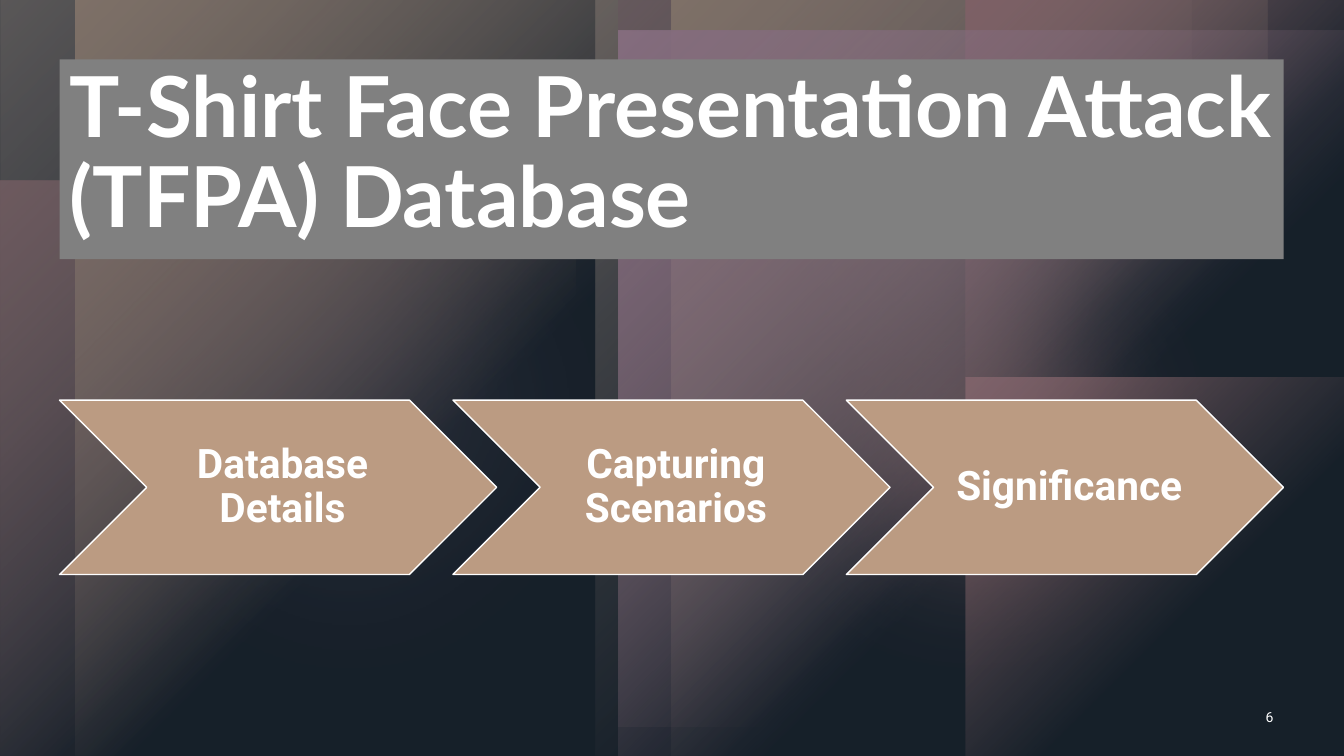
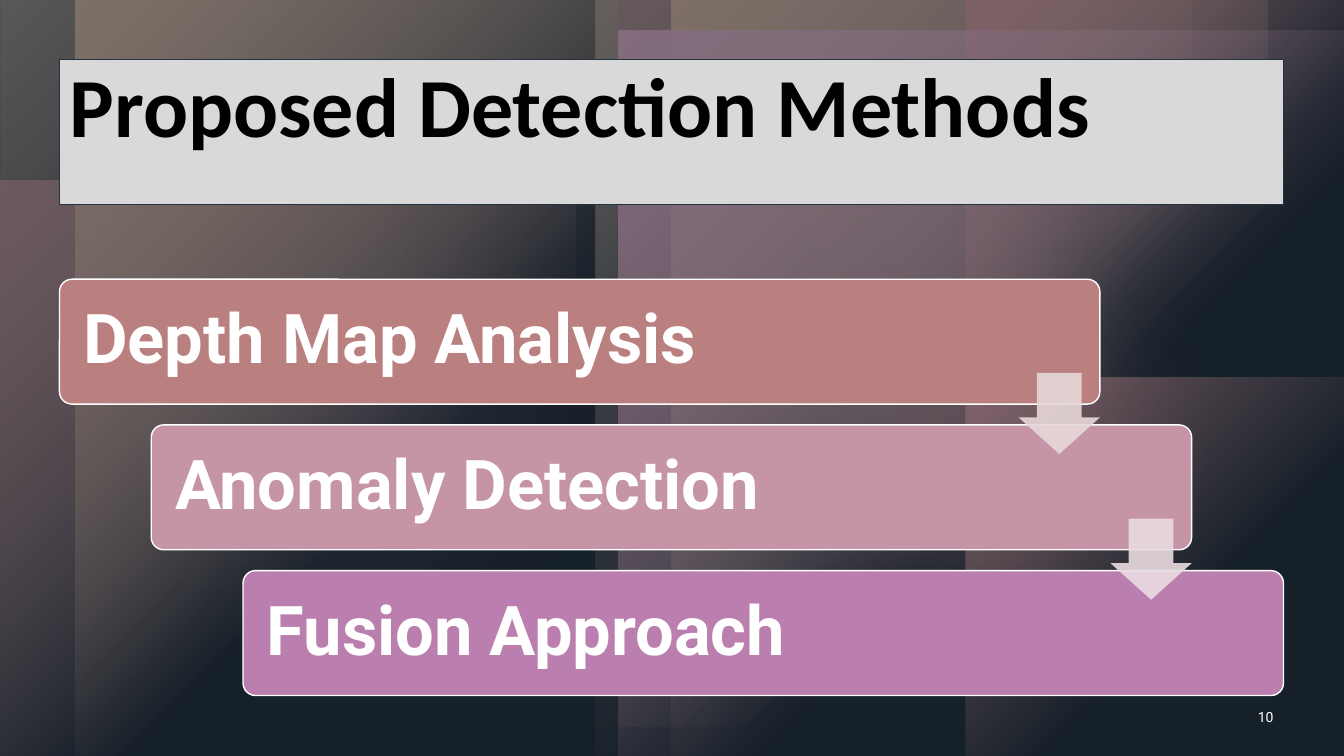
import dataclasses

import lxml.etree
import pptx
import pptx.dml.color
import pptx.enum.shapes
import pptx.enum.text
import pptx.oxml.ns
import pptx.util

SHAPE = pptx.enum.shapes.MSO_SHAPE
ALIGN = pptx.enum.text.PP_ALIGN
ANCHOR = pptx.enum.text.MSO_ANCHOR


@dataclasses.dataclass(frozen=True)
class Theme:
    """Colours, fonts and type sizes shared by the slides."""
    black: str = "000000"
    white: str = "FFFFFF"
    navy: str = "243241"
    grey: str = "808080"
    silver: str = "D9D9D9"
    tan: str = "BB9B82"
    clay: str = "BA807F"
    rose: str = "C594A7"
    orchid: str = "BA7FAE"
    arrows: tuple = ("E7D8D8", "EADCE1")
    body_font: str = "Roboto"
    title_size: int = 60
    topic_size: int = 29
    method_size: int = 49
    number_size: int = 10


@dataclasses.dataclass(frozen=True)
class Box:
    """A region on a grid of one-inch columns and rows."""
    left: float
    top: float
    width: float
    height: float

    def emu(self):
        """Return the four lengths for python-pptx."""
        return [pptx.util.Inches(v) for v in dataclasses.astuple(self)]


THEME = Theme()
SLIDE = Box(0, 0, 13.33, 7.5)
NUMBER = Box(11.9, 6.91, 0.83, 0.4)
MARGIN = 0.59
CONTENT_WIDTH = 12.14
SOFT_EDGE = 100


def rgb(colour):
    """Turn a hex string into a colour."""
    return pptx.dml.color.RGBColor.from_string(colour)


def add_xml(parent, tag, **attributes):
    """Append a drawing element with the given attributes."""
    values = {name: str(value) for name, value in attributes.items()}
    return lxml.etree.SubElement(parent, pptx.oxml.ns.qn(tag), values)


def paint(fill_owner, colour, opacity=100):
    """Give a shape or line a solid, possibly translucent, colour."""
    fill_owner.fill.solid()
    fill_owner.fill.fore_color.rgb = rgb(colour)
    if opacity < 100:
        owner = fill_owner.fill.fore_color
        element = getattr(fill_owner, "element", None)
        target = element.spPr if element is not None else None
        if target is not None:
            swatch = target.find(pptx.oxml.ns.qn("a:solidFill"))[0]
            add_xml(swatch, "a:alpha", val=opacity * 1000)
        else:
            owner.rgb = rgb(colour)


def fade(shape, colour, opacity=100):
    """Fill a shape with a radial fade out of its top left corner."""
    gradient = add_xml(shape.element.spPr, "a:gradFill", rotWithShape=1)
    stops = add_xml(gradient, "a:gsLst")
    for position, alpha in ((0, opacity), (60, 0)):
        stop = add_xml(stops, "a:gs", pos=position * 1000)
        swatch = add_xml(stop, "a:srgbClr", val=colour)
        add_xml(swatch, "a:alpha", val=alpha * 1000)
    focus = add_xml(gradient, "a:path", path="circle")
    add_xml(focus, "a:fillToRect", r=100000, b=100000)
    add_xml(gradient, "a:tileRect", l=-100000, t=-100000)


def add_block(shapes, kind, box, colour=None, opacity=100, outline=None, weight=1):
    """Add a flat shape without shadow."""
    block = shapes.add_shape(kind, *box.emu())
    if colour:
        paint(block, colour, opacity)
    if outline:
        block.line.color.rgb = rgb(outline)
        block.line.width = pptx.util.Pt(weight)
    else:
        block.line.fill.background()
    block.shadow.inherit = False
    return block


def add_panel(shapes, box, colour, opacity=100, rotation=0, flip=""):
    """Add a fading backdrop panel."""
    panel = shapes.add_shape(SHAPE.RECTANGLE, *box.emu())
    fade(panel, colour, opacity)
    panel.line.fill.background()
    panel.shadow.inherit = False
    panel.rotation = rotation
    frame = panel.element.spPr.find(pptx.oxml.ns.qn("a:xfrm"))
    for axis in flip:
        frame.set("flip" + axis, "1")


def add_glow(shapes, box, colour, opacity):
    """Add a translucent ellipse with a soft edge."""
    glow = add_block(shapes, SHAPE.OVAL, box, colour, opacity)
    effects = glow.element.spPr.find(pptx.oxml.ns.qn("a:effectLst"))
    add_xml(effects, "a:softEdge", rad=pptx.util.Pt(SOFT_EDGE))


def add_backdrop(slide, master):
    """Build the layered backdrop and hand it to the master."""
    backdrop = slide.shapes.add_group_shape()
    layers = backdrop.shapes
    tall, wide, corner = 7.5, 5.91, 3.75
    add_panel(layers, Box(0, 1.8, 5.71, 5.71), THEME.clay, 60, flip="V")
    add_glow(layers, Box(6.29, 0.43, 4.72, 4.72), THEME.rose, 60)
    add_glow(layers, Box(0, 0.56, 6.94, 6.94), THEME.rose, 20)
    add_panel(layers, Box(0, 0, wide, tall), THEME.tan, rotation=180, flip="V")
    add_panel(layers, Box(wide, 0, wide, tall), THEME.tan, rotation=180, flip="HV")
    add_panel(layers, Box(6.13, 0, 7.21, 7.21), THEME.clay, rotation=180, flip="V")
    add_block(layers, SHAPE.RECTANGLE, SLIDE, THEME.navy, 40)
    add_panel(layers, Box(0, 1.79, 5.71, 5.71), THEME.clay, 60, rotation=270)
    add_glow(layers, Box(6.98, 0, 4.72, 4.72), THEME.rose, 96)
    add_glow(layers, Box(6.69, 1.35, 6.02, 6.02), THEME.clay, 60)
    add_panel(layers, Box(6.66, 0, wide, tall), THEME.tan)
    add_panel(layers, Box(0.75, 0, wide, tall), THEME.tan, flip="H")
    add_panel(layers, Box(9.58, corner, corner, corner), THEME.clay, rotation=90)
    add_panel(layers, Box(9.58, 0, corner, corner), THEME.clay, rotation=90, flip="H")
    add_panel(layers, Box(6.13, 0.3, 7.21, 7.21), THEME.rose, rotation=180)
    add_block(layers, SHAPE.RECTANGLE, SLIDE, THEME.navy, 40)
    for order, label in enumerate(backdrop.element.iter(pptx.oxml.ns.qn("p:cNvPr"))):
        label.set("id", str(100 + order))
    master.shapes.element.insert(2, backdrop.element)
    master.background.fill.solid()
    master.background.fill.fore_color.rgb = rgb(THEME.black)


def write(shape, text, size, colour=THEME.white, font=THEME.body_font, bold=True,
          align=ALIGN.LEFT, anchor=ANCHOR.MIDDLE, spacing=0.9, insets=(0.1, 0.05, 0.1, 0.05)):
    """Set and format the single paragraph of a shape."""
    frame = shape.text_frame
    frame.text = text
    frame.word_wrap = True
    frame.auto_size = pptx.enum.text.MSO_AUTO_SIZE.NONE
    frame.vertical_anchor = anchor
    (frame.margin_left, frame.margin_top,
     frame.margin_right, frame.margin_bottom) = map(pptx.util.Inches, insets)
    line = frame.paragraphs[0]
    line.alignment = align
    line.line_spacing = spacing
    words = line.runs[0].font
    words.name = font
    words.size = pptx.util.Pt(size)
    words.bold = bold
    words.color.rgb = rgb(colour)


def add_heading(slide, box, text, font, colour, band, outline=None):
    """Place the title placeholder as a filled band."""
    heading = slide.shapes.title
    heading.left, heading.top, heading.width, heading.height = box.emu()
    paint(heading, band)
    if outline:
        heading.line.color.rgb = rgb(outline)
        heading.line.width = pptx.util.Pt(0.75)
    write(heading, text, THEME.title_size, colour, font, anchor=ANCHOR.TOP)


def add_number(slide, box, number):
    """Add the slide number."""
    label = slide.shapes.add_textbox(*box.emu())
    write(label, str(number), THEME.number_size, bold=False, align=ALIGN.RIGHT, spacing=1)
    label.text_frame.paragraphs[0].space_after = pptx.util.Pt(6)


def add_topics(slide, box, topics):
    """Lay out overlapping chevrons across the box."""
    width = box.width / (1 + 0.9 * (len(topics) - 1))
    for column, topic in enumerate(topics):
        place = Box(box.left + 0.9 * width * column, box.top, width, box.height)
        chevron = add_block(slide.shapes, SHAPE.CHEVRON, place, THEME.tan, outline=THEME.white)
        write(chevron, topic, THEME.topic_size, align=ALIGN.CENTER,
              insets=(0.13, 0.04, 0.04, 0.04))


def add_methods(slide, box, methods):
    """Lay out a staircase of bars joined by down arrows."""
    width, height = 0.85 * box.width, 0.3 * box.height
    shift = (box.width - width) / (len(methods) - 1)
    pitch = (box.height - height) / (len(methods) - 1)
    steps = [Box(box.left + shift * row, box.top + pitch * row, width, height)
             for row in range(len(methods))]
    for step, (method, colour) in zip(steps, methods):
        bar = add_block(slide.shapes, SHAPE.ROUNDED_RECTANGLE, step, colour, outline=THEME.white)
        bar.adjustments[0] = 0.1
        write(bar, method, THEME.method_size, insets=(0.2,) * 4)
    side = 0.65 * height
    for step, colour in zip(steps, THEME.arrows):
        place = Box(step.left + width - side, step.top + 0.75 * height, side, side)
        arrow = add_block(slide.shapes, SHAPE.DOWN_ARROW, place, colour, 90)
        arrow.adjustments[0], arrow.adjustments[1] = 0.55, 0.45


def main():
    """Build and save the two slides."""
    deck = pptx.Presentation()
    deck.slide_width, deck.slide_height = SLIDE.emu()[2:]
    layout = deck.slide_layouts[5]

    database = deck.slides.add_slide(layout)
    add_backdrop(database, deck.slide_master)
    add_number(database, NUMBER, 6)
    add_heading(database, Box(MARGIN, 0.59, CONTENT_WIDTH, 1.98),
                "T-Shirt Face Presentation Attack (TFPA) Database",
                "Lato", THEME.white, THEME.grey)
    add_topics(database, Box(MARGIN, 3.97, CONTENT_WIDTH, 1.73),
               ("Database Details", "Capturing Scenarios", "Significance"))

    detection = deck.slides.add_slide(layout)
    add_number(detection, NUMBER, 10)
    add_heading(detection, Box(MARGIN, 0.59, CONTENT_WIDTH, 1.44),
                "Proposed Detection Methods", "Calibri", THEME.black, THEME.silver, THEME.navy)
    add_methods(detection, Box(MARGIN, 2.77, CONTENT_WIDTH, 4.13),
                (("Depth Map Analysis", THEME.clay),
                 ("Anomaly Detection", THEME.rose),
                 ("Fusion Approach", THEME.orchid)))

    deck.save("out.pptx")


if __name__ == "__main__":
    main()
